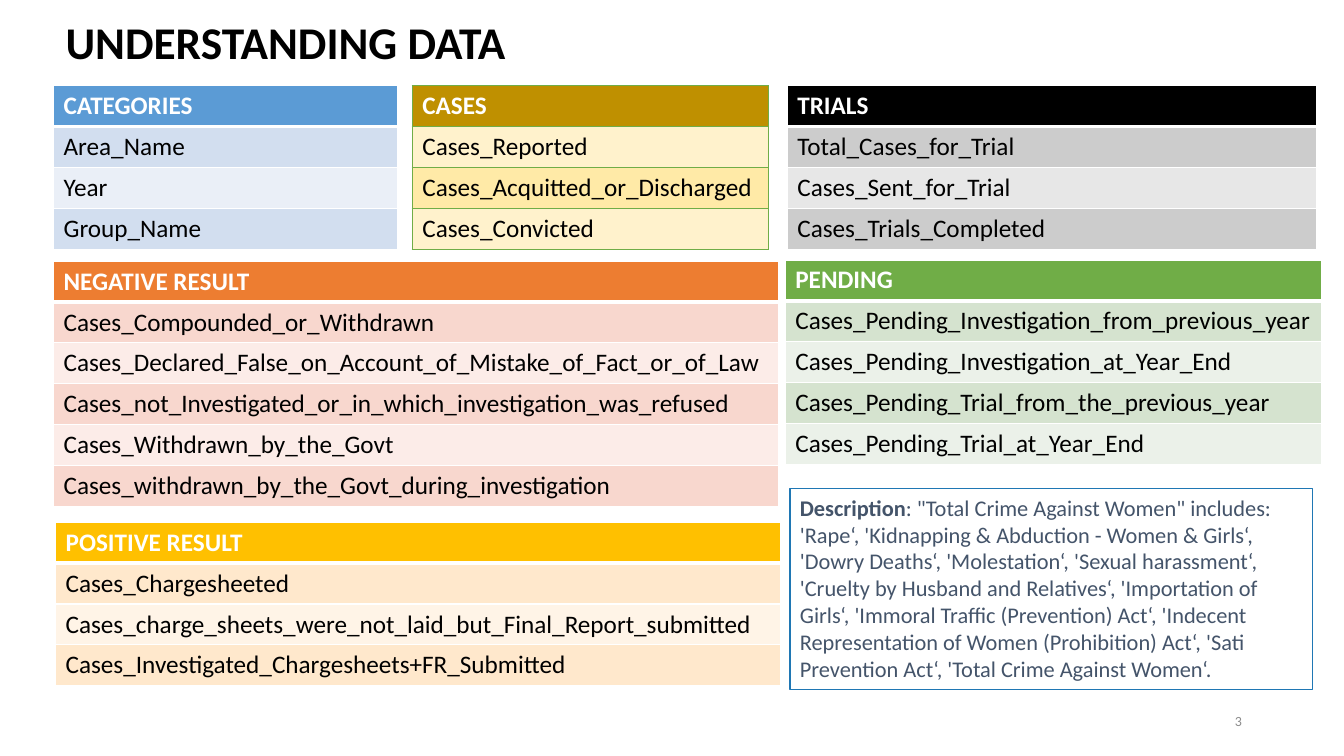
"""Build the slide that groups the crime data columns into six tables."""
from lxml import etree
from pptx import Presentation
from pptx.dml.color import RGBColor
from pptx.enum.shapes import MSO_SHAPE
from pptx.enum.text import MSO_ANCHOR, PP_ALIGN
from pptx.oxml.ns import qn
from pptx.util import Cm, Pt

LEFT, RIGHT = PP_ALIGN.LEFT, PP_ALIGN.RIGHT
TOP, MIDDLE = MSO_ANCHOR.TOP, MSO_ANCHOR.MIDDLE
RECTANGLE = MSO_SHAPE.RECTANGLE

TITLE = "UNDERSTANDING DATA"
PAGE = "3"
GROUPS = [
    {"name": "CATEGORIES", "box": (1.35, 2.16, 8.66), "fills": ("5B9BD5", "D2DEEF", "EAEFF7"),
     "fields": ["Area_Name", "Year", "Group_Name"]},
    {"name": "CASES", "box": (10.39, 2.16, 8.97), "fills": ("BF9000", "FFF2CC", "FFEAA7"),
     "border": "70AD47", "header_rule": 1,
     "fields": ["Cases_Reported", "Cases_Acquitted_or_Discharged", "Cases_Convicted"]},
    {"name": "NEGATIVE RESULT", "box": (1.35, 6.58, 18.26), "fills": ("ED7D31", "F8D7CE", "FCECE8"),
     "fields": ["Cases_Compounded_or_Withdrawn",
                "Cases_Declared_False_on_Account_of_Mistake_of_Fact_or_of_Law",
                "Cases_not_Investigated_or_in_which_investigation_was_refused",
                "Cases_Withdrawn_by_the_Govt",
                "Cases_withdrawn_by_the_Govt_during_investigation"]},
    {"name": "POSITIVE RESULT", "box": (1.4, 13.16, 18.26), "fills": ("FFC000", "FFE8CC", "FFF4E7"),
     "fields": ["Cases_Chargesheeted",
                "Cases_charge_sheets_were_not_laid_but_Final_Report_submitted",
                "Cases_Investigated_Chargesheets+FR_Submitted"]},
    {"name": "TRIALS", "box": (19.84, 2.16, 13.34), "fills": ("000000", "CCCCCC", "E7E7E7"),
     "fields": ["Total_Cases_for_Trial", "Cases_Sent_for_Trial", "Cases_Trials_Completed"]},
    {"name": "PENDING", "box": (19.79, 6.55, 13.51), "fills": ("70AD47", "D5E3CF", "EBF1E9"),
     "fields": ["Cases_Pending_Investigation_from_previous_year",
                "Cases_Pending_Investigation_at_Year_End",
                "Cases_Pending_Trial_from_the_previous_year",
                "Cases_Pending_Trial_at_Year_End"]},
]
DESCRIPTION = [
    ("Description", True),
    (": \"Total Crime Against Women\" includes: 'Rape‘, 'Kidnapping & Abduction - Women & Girls‘, "
     "'Dowry Deaths‘, 'Molestation‘, 'Sexual harassment‘, 'Cruelty by Husband and Relatives‘, "
     "'Importation of Girls‘, 'Immoral Traffic (Prevention) Act‘, 'Indecent Representation of Women "
     "(Prohibition) Act‘, 'Sati Prevention Act‘, 'Total Crime Against Women‘.", False),
]
TITLE_BOX = (1.4, 0.41, 31.67, 1.42)
PAGE_BOX = (23.93, 17.65, 7.62, 1.02)
DESCRIPTION_BOX = (19.91, 12.32, 13.16, 5.05)
ROW_HEIGHT = 1.03

THEME = {
    "font": "Calibri", "border": "FFFFFF", "outline": "1F77B4",
    "title": {"size": 32.4, "color": "000000", "bold": True},
    "header": {"size": 18, "color": "FFFFFF", "bold": True},
    "field": {"size": 18, "color": "000000", "bold": False},
    "description": {"size": 16, "color": "44546A"},
    "page": {"size": 10, "color": "8C8C8C", "bold": False},
}


def add_run(p, text, style):
    r = p.add_run()
    r.text = text
    values = {"name": THEME["font"], "size": Pt(style["size"]), "bold": style["bold"]}
    for name, value in values.items():
        setattr(r.font, name, value)
    r.font.color.rgb = RGBColor.from_string(style["color"])


def set_frame(tf, anchor, align):
    for name, value in {"word_wrap": True, "vertical_anchor": anchor}.items():
        setattr(tf, name, value)
    p = tf.paragraphs[0]
    p.alignment = align
    return p


def set_borders(cell, color, widths):
    tc_pr = cell._tc.get_or_add_tcPr()
    for side, width in widths.items():
        ln = etree.SubElement(tc_pr, qn(f"a:ln{side}"), w=str(Pt(width)))
        fill = etree.SubElement(ln, qn("a:solidFill"))
        etree.SubElement(fill, qn("a:srgbClr"), val=color)


def add_group(s, group):
    texts = [group["name"], *group["fields"]]
    left, top, width = group["box"]
    header_fill, *bands = group["fills"]
    rule = group.get("header_rule", 3)
    table = s.shapes.add_table(len(texts), 1, Cm(left), Cm(top), Cm(width),
                               Cm(ROW_HEIGHT * len(texts))).table
    for i, text in enumerate(texts):
        table.rows[i].height = Cm(ROW_HEIGHT)
        cell = table.cell(i, 0)
        widths = {"L": 1, "R": 1, "T": rule if i == 1 else 1, "B": rule if i == 0 else 1}
        set_borders(cell, group.get("border", THEME["border"]), widths)
        cell.fill.solid()
        cell.fill.fore_color.rgb = RGBColor.from_string(bands[(i - 1) % 2] if i else header_fill)
        add_run(cell.text_frame.paragraphs[0], text, THEME["field" if i else "header"])


def add_title(s):
    sp = s.shapes.title
    for name, value in zip(("left", "top", "width", "height"), TITLE_BOX):
        setattr(sp, name, Cm(value))
    p = set_frame(sp.text_frame, MIDDLE, LEFT)
    p.line_spacing = 0.9
    add_run(p, TITLE, THEME["title"])


def add_description(s):
    sp = s.shapes.add_shape(RECTANGLE, *map(Cm, DESCRIPTION_BOX))
    sp.shadow.inherit = False
    sp.fill.background()
    sp.line.color.rgb = RGBColor.from_string(THEME["outline"])
    sp.line.width = Pt(0.75)
    p = set_frame(sp.text_frame, TOP, LEFT)
    for text, bold in DESCRIPTION:
        add_run(p, text, {**THEME["description"], "bold": bold})


def add_page_number(s):
    sp = s.shapes.add_textbox(*map(Cm, PAGE_BOX))
    add_run(set_frame(sp.text_frame, MIDDLE, RIGHT), PAGE, THEME["page"])


def main():
    prs = Presentation()
    prs.slide_width, prs.slide_height = Cm(33.87), Cm(19.05)
    s = prs.slides.add_slide(prs.slide_layouts[5])
    add_title(s)
    add_page_number(s)
    for group in GROUPS:
        add_group(s, group)
    add_description(s)
    prs.save("out.pptx")


if __name__ == "__main__":
    main()
